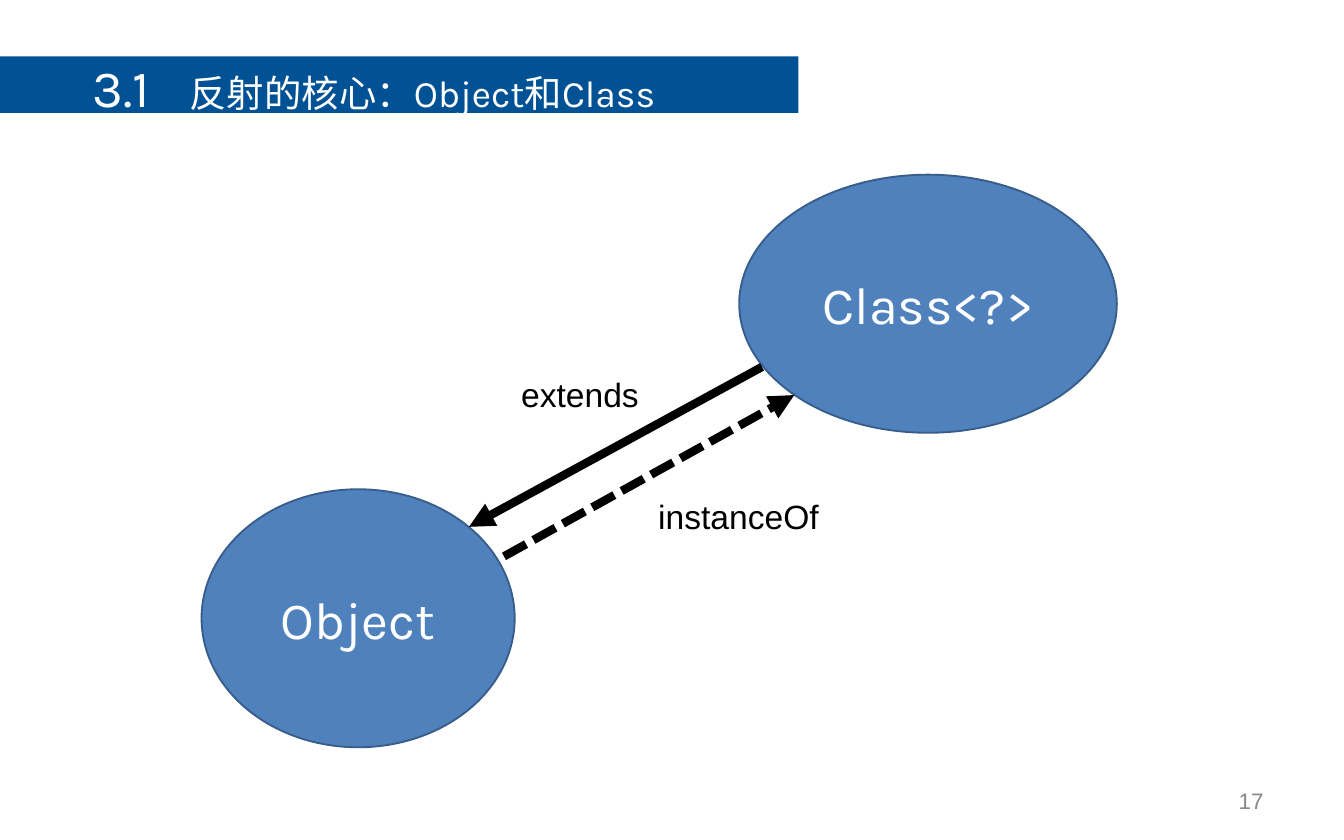
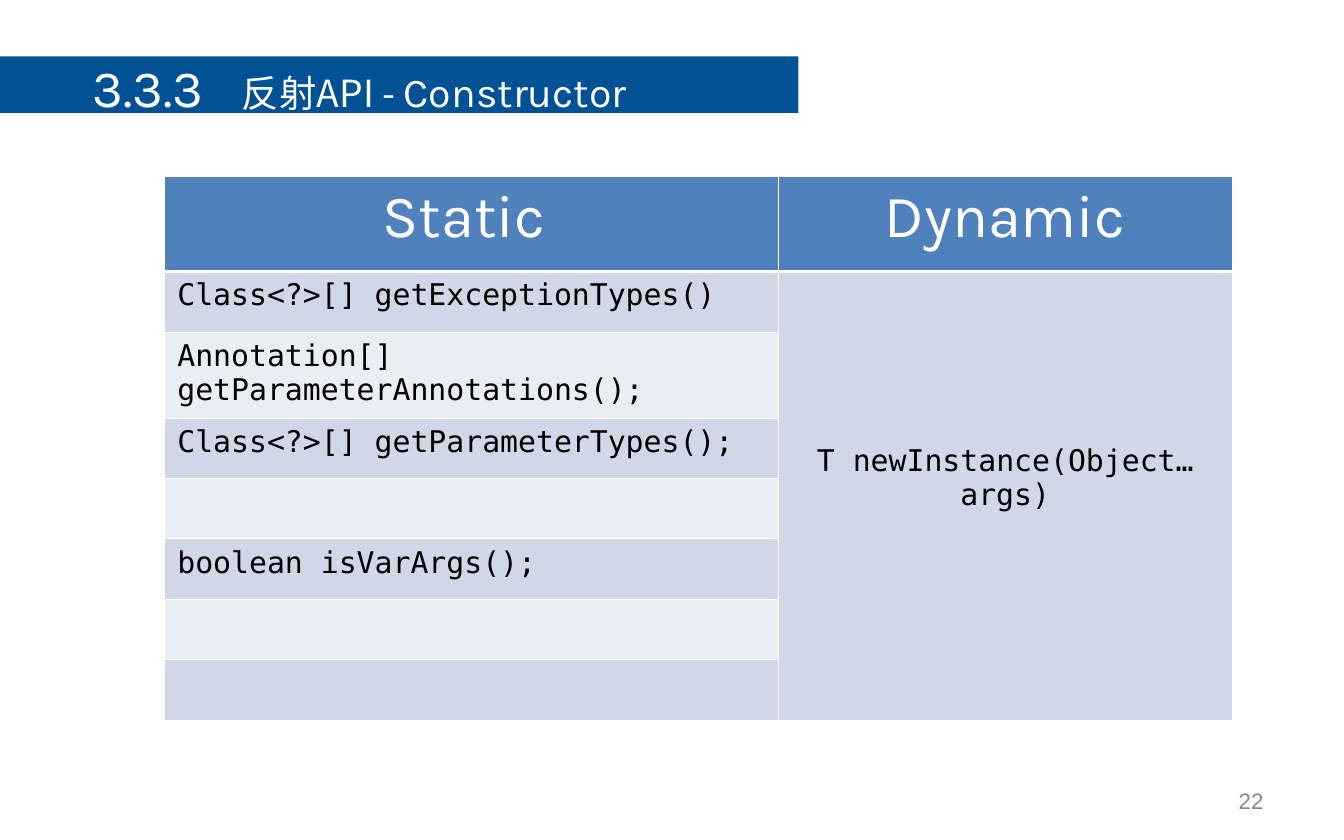
import pptx
import pptx.util
import pptx.dml.color
import pptx.enum.dml
import pptx.enum.shapes
import pptx.enum.text
import pptx.oxml
import pptx.oxml.ns
from dataclasses import dataclass
from lxml import etree

Inches = pptx.util.Inches
Pt = pptx.util.Pt
RGB = pptx.dml.color.RGBColor.from_string
Shape = pptx.enum.shapes.MSO_SHAPE
Align = pptx.enum.text.PP_ALIGN
Anchor = pptx.enum.text.MSO_ANCHOR
qn = pptx.oxml.ns.qn


@dataclass(frozen=True)
class Theme:
    band: str = "005295"
    accent: str = "4F81BD"
    outline: str = "385D8A"
    row_dark: str = "D0D8E8"
    row_light: str = "E9EDF4"
    white: str = "FFFFFF"
    black: str = "000000"
    grey: str = "898989"
    display: str = "Karla"
    chinese: str = "Noto Sans CJK SC"
    code: str = "DejaVu Sans Mono"
    plain: str = "Arial"
    header_size: int = 32
    number_size: int = 28
    name_size: int = 22
    title_size: int = 20
    label_size: int = 18
    code_size: int = 16
    page_size: int = 12
    thin: float = 0.45
    thick: float = 1.47
    arrow: float = 4.5


T = Theme()


def add_run(p, text, size=T.label_size, font=T.plain, color=T.black, align=None):
    if align is not None:
        p.alignment = align
    r = p.add_run()
    r.text = text
    r.font.size = Pt(size)
    r.font.bold = False
    r.font.name = font
    r.font.color.rgb = RGB(color)
    etree.SubElement(r.font._element, qn("a:ea"), typeface=font)


def add_text(s, text, left, top, width, height, anchor=Anchor.TOP, **fmt):
    tf = s.shapes.add_textbox(*map(Inches, (left, top, width, height))).text_frame
    tf.word_wrap = True
    tf.vertical_anchor = anchor
    add_run(tf.paragraphs[0], text, **fmt)


def add_filled(s, kind, left, top, width, height, fill, line=None):
    sp = s.shapes.add_shape(kind, *map(Inches, (left, top, width, height)))
    sp.shadow.inherit = False
    sp.fill.solid()
    sp.fill.fore_color.rgb = RGB(fill)
    if line:
        sp.line.color.rgb = RGB(line)
        sp.line.width = Pt(1)
    else:
        sp.line.fill.background()
    return sp


def add_ellipse(s, text, left, top, width, height):
    sp = add_filled(s, Shape.OVAL, left, top, width, height, T.accent, T.outline)
    tf = sp.text_frame
    tf.vertical_anchor = Anchor.MIDDLE
    add_run(tf.paragraphs[0], text, size=T.number_size, font=T.display,
            color=T.white, align=Align.CENTER)


def add_arrow(s, start, end, dash=None):
    line = s.shapes.add_connector(pptx.enum.shapes.MSO_CONNECTOR.STRAIGHT,
                                  *map(Inches, start + end))
    line.line.color.rgb = RGB(T.black)
    line.line.width = Pt(T.arrow)
    if dash:
        line.line.dash_style = dash
    props = line._element.spPr
    etree.SubElement(props.find(qn("a:ln")), qn("a:tailEnd"), type="triangle")
    etree.SubElement(props, qn("a:effectLst"))


def add_slide(prs, number, tab, parts, page):
    s = prs.slides.add_slide(prs.slide_layouts[5])
    band = add_filled(s, Shape.RECTANGLE, 0, 0.42, 5.94, 0.42, T.band)
    title = s.shapes.title
    band._element.getparent().insert(2, band._element)
    title.left, title.top, title.width, title.height = map(
        Inches, (0.59, 0.36, 5.74, 0.57))
    tf = title.text_frame
    tf.auto_size = pptx.enum.text.MSO_AUTO_SIZE.NONE
    tf.vertical_anchor = Anchor.TOP
    p = tf.paragraphs[0]
    p.alignment = Align.LEFT
    tabs = etree.SubElement(p._p.get_or_add_pPr(), qn("a:tabLst"))
    etree.SubElement(tabs, qn("a:tab"), pos=str(Inches(tab)), algn="l")
    add_run(p, number + "\t", size=T.number_size, font=T.display, color=T.white)
    for text, font, size in parts:
        add_run(p, text, size=size, font=font, color=T.white)
    add_text(s, page, 7.17, 5.79, 2.33, 0.33, anchor=Anchor.MIDDLE,
             size=T.page_size, color=T.grey, align=Align.RIGHT)
    return s


def set_borders(cell, **widths):
    props = cell._tc.get_or_add_tcPr()
    for i, side in enumerate("LRTB"):
        ln = etree.Element(qn("a:ln" + side), w=str(Pt(widths.get(side, T.thin))))
        fill = etree.SubElement(ln, qn("a:solidFill"))
        etree.SubElement(fill, qn("a:srgbClr"), val=T.white)
        props.insert(i, ln)


def add_method_table(s, headers, static, dynamic):
    heights = [0.71, 0.45, 0.64] + [0.45] * (len(static) - 2)
    widths = [4.57, 3.38]
    table = s.shapes.add_table(len(heights), len(widths), Inches(1.22), Inches(1.31),
                               Inches(sum(widths)), Inches(sum(heights))).table
    for col, width in zip(table.columns, widths):
        col.width = Inches(width)
    for i, (row, height) in enumerate(zip(table.rows, heights)):
        row.height = Inches(height)
        fill = T.accent if i == 0 else T.row_dark if i % 2 else T.row_light
        for cell in row.cells:
            cell.fill.solid()
            cell.fill.fore_color.rgb = RGB(fill)
            set_borders(cell, T=T.thick if i == 1 else T.thin,
                        B=T.thick if i == 0 else T.thin)
    for i, text in enumerate(headers):
        add_run(table.cell(0, i).text_frame.paragraphs[0], text, size=T.header_size,
                font=T.display, color=T.white, align=Align.CENTER)
    for i, text in enumerate(static, 1):
        if text:
            add_run(table.cell(i, 0).text_frame.paragraphs[0], text,
                    size=T.code_size, font=T.code)
    merged = table.cell(1, 1)
    merged.merge(table.cell(len(static), 1))
    merged.margin_top = Inches(1.28)
    add_run(merged.text_frame.paragraphs[0], dynamic, size=T.code_size,
            font=T.code, align=Align.CENTER)


def build_core(prs):
    s = add_slide(prs, "3.1", 0.72, [
        ("反射的核心：", T.chinese, T.title_size),
        ("Object", T.display, T.title_size),
        ("和", T.chinese, T.title_size),
        ("Class", T.display, T.title_size),
    ], "17")
    add_ellipse(s, "Object", 1.5, 3.64, 2.33, 1.92)
    add_ellipse(s, "Class<?>", 5.5, 1.3, 2.81, 1.92)
    add_arrow(s, (5.67, 2.73), (3.49, 3.92))
    add_arrow(s, (3.75, 4.14), (5.91, 2.94),
              dash=pptx.enum.dml.MSO_LINE.SQUARE_DOT)
    add_text(s, "instanceOf", 4.67, 3.64, 1.65, 0.4, align=Align.CENTER)
    add_text(s, "extends", 3.49, 2.73, 1.65, 0.4, align=Align.CENTER)


def build_constructor(prs):
    s = add_slide(prs, "3.3.3", 1.11, [
        ("反射API - ", T.chinese, T.title_size),
        ("Constructor", T.display, T.name_size),
    ], "22")
    add_method_table(s, ["Static ", "Dynamic"], [
        "Class<?>[] getExceptionTypes()",
        "Annotation[] getParameterAnnotations();",
        "Class<?>[] getParameterTypes();",
        "",
        "boolean isVarArgs();",
        "",
        "",
    ], "T newInstance(Object… args)")


def main():
    prs = pptx.Presentation()
    prs.slide_width, prs.slide_height = Inches(10), Inches(6.25)
    build_core(prs)
    build_constructor(prs)
    prs.save("out.pptx")


if __name__ == "__main__":
    main()
